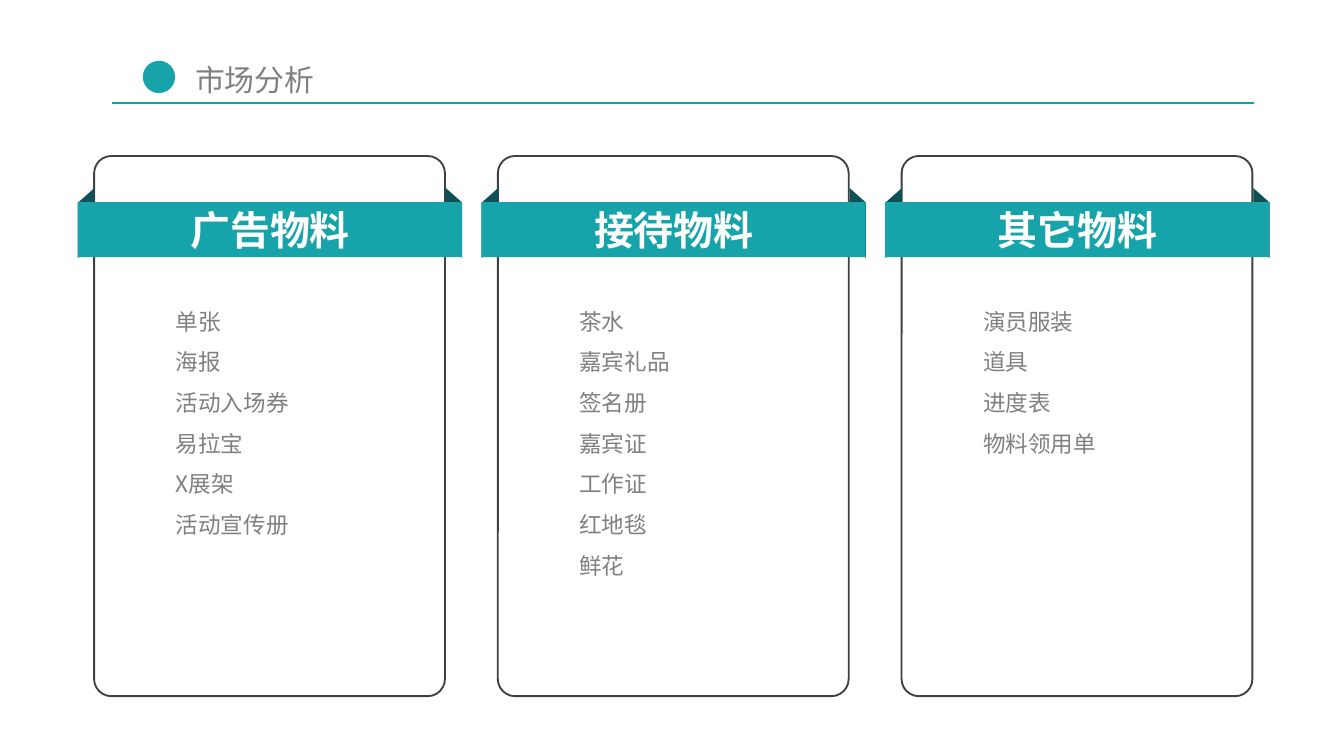
from lxml.etree import SubElement
from pptx import Presentation
from pptx.dml.color import RGBColor
from pptx.enum.shapes import MSO_CONNECTOR, MSO_SHAPE
from pptx.enum.text import MSO_AUTO_SIZE, PP_ALIGN
from pptx.oxml.ns import qn
from pptx.util import Cm, Pt

TEAL = RGBColor(0x16, 0xA3, 0xAA)
LINE_TEAL = RGBColor(0x12, 0xA3, 0xAA)
DARK_TEAL = RGBColor(0x0B, 0x51, 0x55)
GRAY = RGBColor(0x80, 0x80, 0x80)
OUTLINE = RGBColor(0x40, 0x40, 0x40)
WHITE = RGBColor(0xFF, 0xFF, 0xFF)
FONT = "Noto Sans CJK SC"

CARD_PITCH = 7.63
CARDS = [
    ("广告物料", ["单张", "海报", "活动入场券", "易拉宝", "X展架", "活动宣传册"]),
    ("接待物料", ["茶水", "嘉宾礼品", "签名册", "嘉宾证", "工作证", "红地毯", "鲜花"]),
    ("其它物料", ["演员服装", "道具", "进度表", "物料领用单"]),
]

prs = Presentation()
prs.slide_width, prs.slide_height = Cm(25.4), Cm(14.29)
s = prs.slides.add_slide(prs.slide_layouts[6])


def add_shape(kind, x, y, w, h, fill=None):
    """Add a preset shape, sized in cm; without a fill it gets a thin outline."""
    sp = s.shapes.add_shape(kind, Cm(x), Cm(y), Cm(w), Cm(h))
    sp.shadow.inherit = False
    if fill is None:
        sp.fill.background()
        sp.line.color.rgb = OUTLINE
        sp.line.width = Pt(1)
    else:
        sp.fill.solid()
        sp.fill.fore_color.rgb = fill
        sp.line.fill.background()
    return sp


def add_text(x, y, w, h, lines, size, color, bold=False, align=PP_ALIGN.LEFT,
             spacing=1.0, margins=(0, 0)):
    """Add a text box with one paragraph per line; lengths in cm."""
    tf = s.shapes.add_textbox(Cm(x), Cm(y), Cm(w), Cm(h)).text_frame
    tf.word_wrap = True
    tf.auto_size = MSO_AUTO_SIZE.SHAPE_TO_FIT_TEXT
    tf.margin_left = tf.margin_right = Cm(margins[0])
    tf.margin_top = tf.margin_bottom = Cm(margins[1])
    tf.text = "\n".join(lines)
    for p in tf.paragraphs:
        p.alignment = align
        p.line_spacing = spacing
        p.font.size = Pt(size)
        p.font.bold = bold
        p.font.color.rgb = color
        p.font.name = FONT
        SubElement(p.font._element, qn("a:ea"), typeface=FONT)


# Page heading
add_text(3.51, 1.07, 4.98, 0.86, ["市场分析"], 16, GRAY, margins=(0.18, 0.1))
rule = s.shapes.add_connector(MSO_CONNECTOR.STRAIGHT, Cm(2.11), Cm(1.95), Cm(23.7), Cm(1.95))
rule.line.color.rgb = LINE_TEAL
rule.line.width = Pt(0.75)
SubElement(rule._element.spPr, qn("a:effectLst"))
add_shape(MSO_SHAPE.OVAL, 2.7, 1.15, 0.61, 0.61, TEAL)

# Cards with a ribbon folded round both edges
for i, (title, items) in enumerate(CARDS):
    x = 1.78 + i * CARD_PITCH
    card = add_shape(MSO_SHAPE.ROUNDED_RECTANGLE, x, 2.95, 6.63, 10.21)
    card.adjustments[0] = 0.049

    for fold_x, rotation in ((x - 0.81, 270), (x + 6.14, 90)):
        fold = add_shape(MSO_SHAPE.PARALLELOGRAM, fold_x, 4.06, 1.32, 0.31, DARK_TEAL)
        fold.adjustments[0] = 0.891
        fold.rotation = rotation
        if rotation == 270:
            fold._element.spPr.xfrm.set("flipH", "1")

    add_shape(MSO_SHAPE.RECTANGLE, x - 0.31, 3.82, 7.26, 1.04, TEAL)
    add_text(x + 1.54, 5.56, 3.68, 1.03 * len(items), items, 12.1, GRAY,
             align=PP_ALIGN.JUSTIFY, spacing=1.5)
    add_text(x + 0.53, 3.89, 5.59, 0.91, [title], 21.4, WHITE, bold=True,
             align=PP_ALIGN.CENTER)

prs.save("out.pptx")
